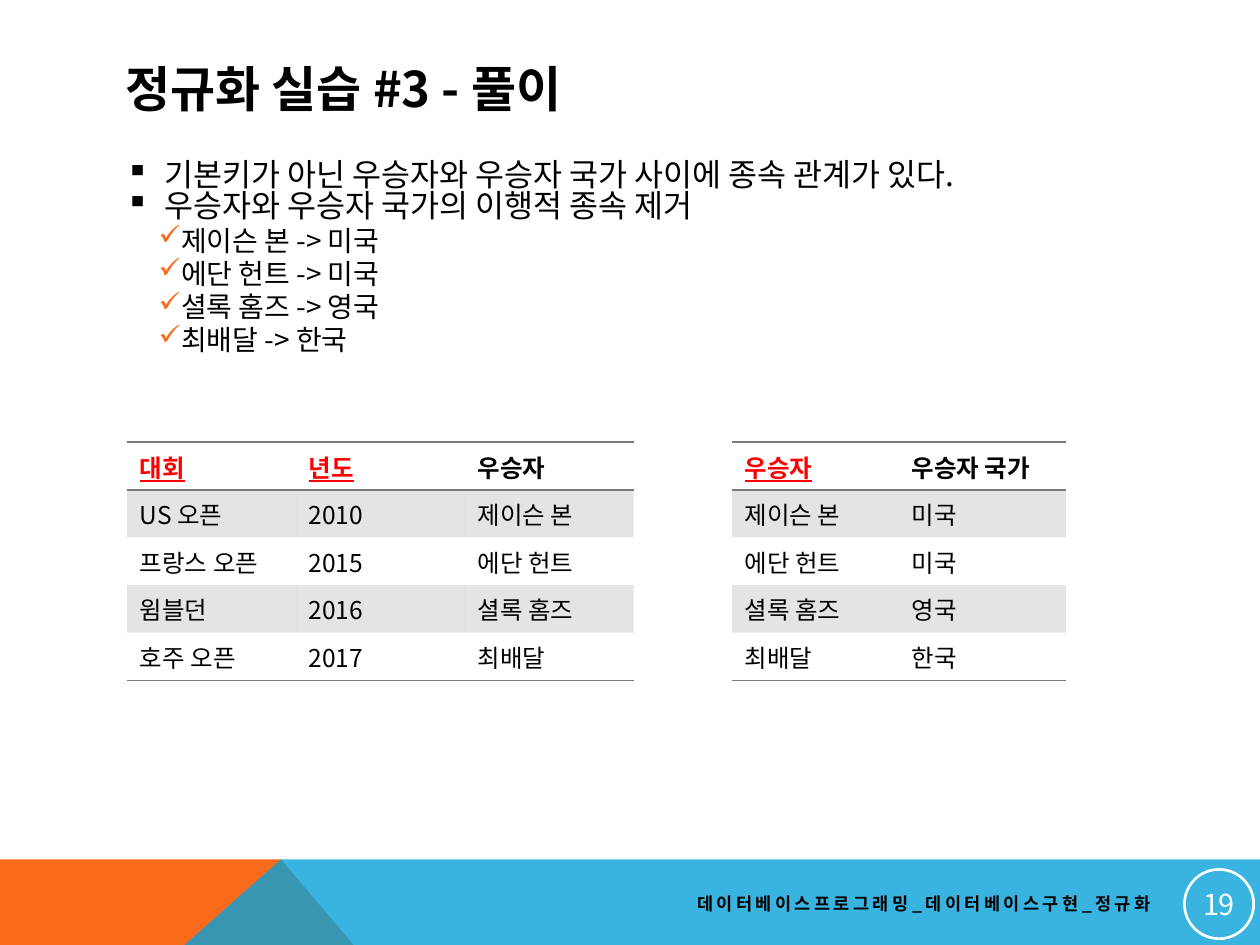
from dataclasses import dataclass

from lxml.etree import SubElement
from pptx import Presentation
from pptx.dml.color import RGBColor
from pptx.enum.shapes import MSO_SHAPE
from pptx.enum.text import MSO_ANCHOR, PP_ALIGN
from pptx.oxml import parse_xml
from pptx.oxml.ns import nsdecls, qn
from pptx.util import Inches, Pt

NO_TABLE_STYLE = "{2D5ABB26-0587-4C30-8999-92F81FD0307C}"


@dataclass(frozen=True)
class Theme:
    font: str = "Noto Sans CJK KR"
    ink: str = "000000"
    paper: str = "FFFFFF"
    key: str = "FF0000"
    orange: str = "F96A1B"
    blue: str = "08A1D9"
    gray: str = "797B7E"
    title_size: float = 28
    body_size: float = 18
    detail_size: float = 16
    number_size: float = 16.5
    table_size: float = 14
    footer_size: float = 10


class SlideBuilder:
    """Draws on one slide; lengths count cells of a 100 by 75 grid."""

    def __init__(self, deck, theme):
        self.theme = theme
        self.column = deck.slide_width / 100
        self.row = deck.slide_height / 75
        self.slide = deck.slides.add_slide(deck.slide_layouts[6])

    def place(self, left, top, width, height):
        return (round(left * self.column), round(top * self.row),
                round(width * self.column), round(height * self.row))

    def paint(self, fill, color, opacity=100):
        fill.solid()
        fill.fore_color.rgb = RGBColor.from_string(color)
        if opacity < 100:
            color_node = fill._xPr.find(qn("a:solidFill"))[0]
            SubElement(color_node, qn("a:alpha"), val=str(opacity * 1000))

    def add_span(self, para, text, size, color=None, bold=False, underline=False, spacing=0):
        span = para.add_run()
        span.text = text
        font = span.font
        font.name, font.size = self.theme.font, Pt(size)
        font.bold, font.underline = bold, underline
        font.color.rgb = RGBColor.from_string(color or self.theme.ink)
        properties = span._r.get_or_add_rPr()
        SubElement(properties, qn("a:ea"), typeface=self.theme.font)
        if spacing:
            properties.set("spc", str(spacing * 100))

    def polygon(self, points, color, opacity=100):
        corners = [(round(x * self.column), round(y * self.row)) for x, y in points]
        builder = self.slide.shapes.build_freeform(*corners[0])
        builder.add_line_segments(corners[1:], close=True)
        shape = builder.convert_to_shape()
        shape.shadow.inherit = False
        shape.line.fill.background()
        self.paint(shape.fill, color, opacity)

    def text_box(self, area, anchor=MSO_ANCHOR.TOP):
        frame = self.slide.shapes.add_textbox(*self.place(*area)).text_frame
        frame.word_wrap = True
        frame.vertical_anchor = anchor
        return frame

    def label(self, area, text, size, align=PP_ALIGN.LEFT, spacing=0):
        para = self.text_box(area, MSO_ANCHOR.MIDDLE).paragraphs[0]
        para.alignment = align
        self.add_span(para, text, size, bold=True, spacing=spacing)

    def bullet(self, para, text, size, mark, mark_color, indent, hang, level=0, before=0):
        para.level = level
        para.line_spacing = 0.83
        para.space_before = Pt(before)
        properties = para._p.get_or_add_pPr()
        properties.set("marL", str(Inches(indent)))
        properties.set("indent", str(-Inches(hang)))
        SubElement(SubElement(properties, qn("a:buClr")), qn("a:srgbClr"), val=mark_color)
        SubElement(properties, qn("a:buChar"), char=mark)
        self.add_span(para, text, size)

    def bullets(self, area, points, details):
        theme = self.theme
        frame = self.text_box(area)
        for index, text in enumerate(points):
            para = frame.add_paragraph() if index else frame.paragraphs[0]
            self.bullet(para, text, theme.body_size, "▪", theme.ink, 0.31, 0.31)
        for text in details:
            self.bullet(frame.add_paragraph(), text, theme.detail_size, "✓", theme.orange,
                        0.44, 0.18, level=1, before=3)

    def badge(self, area, text):
        shape = self.slide.shapes.add_shape(MSO_SHAPE.OVAL, *self.place(*area))
        shape.shadow.inherit = False
        shape.fill.background()
        shape.line.color.rgb = RGBColor.from_string(self.theme.paper)
        shape.line.width = Pt(1.5)
        frame = shape.text_frame
        frame.margin_left = frame.margin_right = Inches(0.01)
        frame.margin_top = frame.margin_bottom = Inches(0.01)
        frame.vertical_anchor = MSO_ANCHOR.MIDDLE
        frame.word_wrap = False
        frame.paragraphs[0].alignment = PP_ALIGN.CENTER
        self.add_span(frame.paragraphs[0], text, self.theme.number_size, self.theme.paper)

    def border(self, cell, sides):
        """Rule the named sides; T must come before B."""
        properties = cell._tc.get_or_add_tcPr()
        for index, side in enumerate(sides):
            properties.insert(index, parse_xml(
                f'<a:ln{side} {nsdecls("a")} w="{Pt(1)}"><a:solidFill>'
                f'<a:srgbClr val="{self.theme.gray}"/></a:solidFill></a:ln{side}>'))

    def table(self, left, top, column_width, row_height, records, key_count):
        """Header rules, shaded odd rows, and the key columns marked in the header."""
        theme = self.theme
        rows, columns = len(records), len(records[0])
        area = self.place(left, top, column_width * columns, row_height * rows)
        table = self.slide.shapes.add_table(rows, columns, *area).table
        table.first_row = table.horz_banding = False
        table._tbl.tblPr.find(qn("a:tableStyleId")).text = NO_TABLE_STYLE
        for row, record in enumerate(records):
            for column, text in enumerate(record):
                cell = table.cell(row, column)
                is_key = row == 0 and column < key_count
                self.add_span(cell.text_frame.paragraphs[0], text, theme.table_size,
                              theme.key if is_key else theme.ink, row == 0, is_key)
                if row % 2:
                    self.paint(cell.fill, theme.gray, 20)
                else:
                    cell.fill.background()
                if row == 0:
                    self.border(cell, "TB")
                elif row == rows - 1:
                    self.border(cell, "B")


def main():
    deck = Presentation()
    deck.slide_width, deck.slide_height = Inches(10), Inches(7.5)
    theme = Theme()
    page = SlideBuilder(deck, theme)

    band_top, band_bottom, peak = 68.2, 88, 22.3
    page.polygon([(0, band_bottom), (0, band_top), (peak, band_top), (39.1, band_bottom)],
                 theme.orange)
    page.polygon([(0, band_bottom), (peak, band_top), (100, band_top), (100, band_bottom)],
                 theme.blue, 80)

    page.label((9, 4, 82.2, 6), "정규화 실습 #3 - 풀이", theme.title_size)
    page.label((40.6, 70.2, 51.7, 3), "데이터베이스프로그래밍_데이터베이스구현_정규화",
               theme.footer_size, PP_ALIGN.RIGHT, spacing=2)
    page.badge((94, 69, 5.5, 5.5), "19")

    results = [("US 오픈", "2010", "제이슨 본"), ("프랑스 오픈", "2015", "에단 헌트"),
               ("윔블던", "2016", "셜록 홈즈"), ("호주 오픈", "2017", "최배달")]
    countries = [("제이슨 본", "미국"), ("에단 헌트", "미국"),
                 ("셜록 홈즈", "영국"), ("최배달", "한국")]
    table_top, row_height = 35.1, 3.78
    page.table(10.1, table_top, 13.4, row_height, [("대회", "년도", "우승자"), *results], 2)
    page.table(58.1, table_top, 13.25, row_height, [("우승자", "우승자 국가"), *countries], 1)

    page.bullets((9, 12.3, 76, 19.5),
                 ["기본키가 아닌 우승자와 우승자 국가 사이에 종속 관계가 있다.",
                  "우승자와 우승자 국가의 이행적 종속 제거"],
                 [f"{winner} -> {country}" for winner, country in countries])
    deck.save("out.pptx")


if __name__ == "__main__":
    main()
